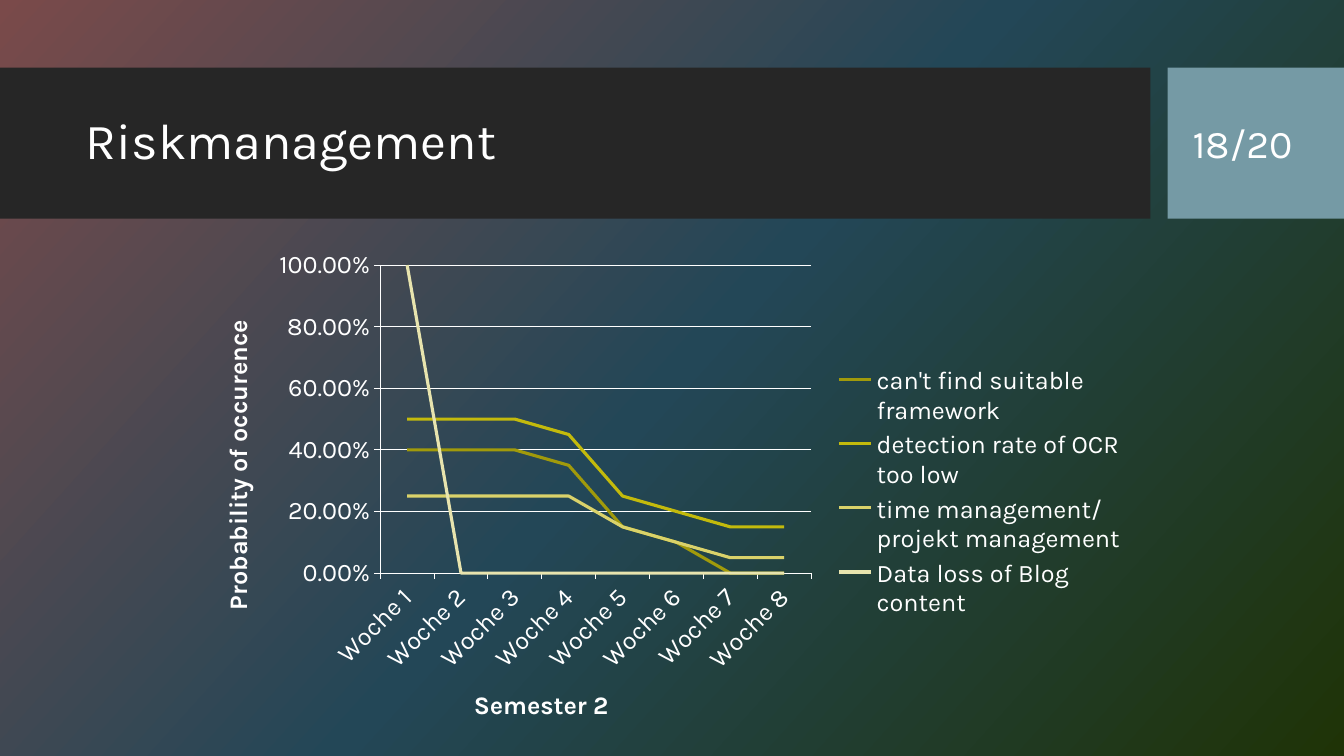
from copy import deepcopy
from dataclasses import dataclass

from lxml.etree import SubElement
from pptx import Presentation
from pptx.chart.data import CategoryChartData
from pptx.dml.color import RGBColor as RGB
from pptx.enum.chart import XL_CHART_TYPE as CT, XL_LEGEND_POSITION as LP, XL_TICK_MARK as TM
from pptx.enum.shapes import MSO_SHAPE as SHAPE
from pptx.enum.text import MSO_ANCHOR as ANCHOR, PP_ALIGN as ALIGN
from pptx.oxml.ns import qn
from pptx.util import Inches, Pt


@dataclass(frozen=True)
class Theme:
    """Colours, font, type sizes and line widths of the slide."""
    font: str = "Karla"
    text: str = "FFFFFF"
    band: str = "262626"
    badge: str = "759AA5"
    backdrop: tuple = ((0, "7A4A4A"), (0.5, "234757"), (1, "1F3307"))
    risks: tuple = ("A19A0B", "C3BA0C", "DAD26A", "E8E4AE")
    title_size: int = 36
    number_size: int = 28
    chart_size: int = 18
    axis_width: float = 0.75
    risk_width: float = 2.25


THEME = Theme()
PERCENT = "0.00%"
WEEKS = [f"Woche {n}" for n in range(1, 9)]
RISKS = {
    "can't find suitable framework": (0.4, 0.4, 0.4, 0.35, 0.15, 0.1, 0, 0),
    "detection rate of OCR too low": (0.5, 0.5, 0.5, 0.45, 0.25, 0.2, 0.15, 0.15),
    "time management/projekt management": (0.25, 0.25, 0.25, 0.25, 0.15, 0.1, 0.05, 0.05),
    "Data loss of Blog content": (1, 0, 0, 0, 0, 0, 0, 0),
}


def style_font(font, size, bold=False):
    """Apply the theme font and text colour."""
    font.name, font.size, font.bold = THEME.font, Pt(size), bold
    font.color.rgb = RGB.from_string(THEME.text)


def style_line(line, color, width):
    """Give a line a solid colour and a width in points."""
    line.color.rgb = RGB.from_string(color)
    line.width = Pt(width)


def paint_background(slide):
    """Fill the slide with the diagonal three-colour gradient."""
    fill = slide.background.fill
    fill.gradient()
    stops = slide.element.find(".//" + qn("a:gsLst"))
    stops.append(deepcopy(stops[-1]))
    for stop, (position, color) in zip(fill.gradient_stops, THEME.backdrop):
        stop.position = position
        stop.color.rgb = RGB.from_string(color)
    fill.gradient_angle = 318


def add_bar(slide, x, y, w, h, color):
    """Add a plain borderless rectangle."""
    sp = slide.shapes.add_shape(SHAPE.RECTANGLE, Inches(x), Inches(y), Inches(w), Inches(h))
    sp.shadow.inherit = False
    sp.fill.solid()
    sp.fill.fore_color.rgb = RGB.from_string(color)
    sp.line.fill.background()


def fill_text(sp, text, size, spacing=1.0):
    """Write one left-aligned, vertically centred paragraph."""
    tf = sp.text_frame
    tf.text, tf.word_wrap, tf.vertical_anchor = text, True, ANCHOR.MIDDLE
    p = tf.paragraphs[0]
    p.alignment, p.line_spacing = ALIGN.LEFT, spacing
    style_font(p.font, size)


def add_header(slide, x, y, w, h, title, number):
    """Add the title band and the page number badge."""
    badge_w, gap, inset = 1.75, 0.17, 0.15
    text_h = h - 2 * inset
    badge_x = x + w - badge_w
    add_bar(slide, x, y, w - badge_w - gap, h, THEME.band)
    add_bar(slide, badge_x, y, badge_w, h, THEME.badge)
    sp = slide.shapes.title
    slide.shapes.element.append(sp.element)
    sp.left, sp.top, sp.width, sp.height = map(Inches, (x + 0.75, y + inset, 10.5, text_h))
    fill_text(sp, title, THEME.title_size, 0.9)
    box = slide.shapes.add_textbox(*map(Inches, (badge_x + inset, y + inset, 1.26, text_h)))
    fill_text(box, number, THEME.number_size)


def set_layout(element, index, inner=False, **place):
    """Place a chart part by fractions of the chart area."""
    for old in element.findall(qn("c:layout")):
        element.remove(old)
    layout = element.makeelement(qn("c:layout"))
    element.insert(index, layout)
    manual = SubElement(layout, qn("c:manualLayout"))
    if inner:
        SubElement(manual, qn("c:layoutTarget"), val="inner")
    for side in "xy":
        SubElement(manual, qn(f"c:{side}Mode"), val="edge")
    for key, value in place.items():
        SubElement(manual, qn(f"c:{key}"), val=str(value))


def set_rotation(element, degrees):
    """Turn the text of a chart part clockwise."""
    element.find(".//" + qn("a:bodyPr")).set("rot", str(degrees * 60000))


def format_axis(axis, element, title, x, y, title_turn, label_turn):
    """Format an axis, its labels and its placed title."""
    axis.major_tick_mark, axis.minor_tick_mark = TM.OUTSIDE, TM.NONE
    style_line(axis.format.line, THEME.text, THEME.axis_width)
    style_font(axis.tick_labels.font, THEME.chart_size)
    tf = axis.axis_title.text_frame
    tf.text = title
    style_font(tf.paragraphs[0].font, THEME.chart_size, True)
    heading = element.find(qn("c:title"))
    set_layout(heading, 1, x=x, y=y)
    set_rotation(heading, title_turn)
    set_rotation(element.find(qn("c:txPr")), label_turn)


def format_scale(axis):
    """Set the percent scale and its gridlines."""
    axis.minimum_scale, axis.maximum_scale, axis.major_unit = 0, 1, 0.2
    axis.tick_labels.number_format = PERCENT
    axis.tick_labels.number_format_is_linked = False
    axis.has_major_gridlines = True
    style_line(axis.major_gridlines.format.line, THEME.text, THEME.axis_width)


def add_legend(chart):
    """Add the legend to the right of the plot."""
    chart.has_legend = True
    legend = chart.legend
    legend.position, legend.include_in_layout = LP.RIGHT, False
    style_font(legend.font, THEME.chart_size)
    element = chart.element.find(".//" + qn("c:legend"))
    set_layout(element, 1, x=0.68, y=0.24, w=0.31, h=0.52)


def add_risk_chart(slide, x, y, w, h):
    """Add the line chart of risk probabilities by week."""
    data = CategoryChartData(number_format=PERCENT)
    data.categories = WEEKS
    for name, values in RISKS.items():
        data.add_series(name, values)
    chart = slide.shapes.add_chart(CT.LINE, *map(Inches, (x, y, w, h)), data).chart
    style_font(chart.font, THEME.chart_size)
    chart.has_title = False
    lines = chart.plots[0]
    lines.vary_by_categories = False
    for series, color in zip(lines.series, THEME.risks):
        series.smooth = False
        style_line(series.format.line, color, THEME.risk_width)
    area = chart.element.find(".//" + qn("c:plotArea"))
    set_layout(area, 0, inner=True, x=0.195, y=0.05, w=0.46, h=0.61)
    format_axis(chart.category_axis, area.find(qn("c:catAx")), "Semester 2",
                x=0.29, y=0.88, title_turn=0, label_turn=-45)
    format_axis(chart.value_axis, area.find(qn("c:valAx")), "Probability of occurence",
                x=0.02, y=0.15, title_turn=-90, label_turn=0)
    format_scale(chart.value_axis)
    add_legend(chart)


def build():
    """Build and save the risk management slide."""
    slide_w, slide_h = 13.33, 7.5
    prs = Presentation()
    prs.slide_width, prs.slide_height = Inches(slide_w), Inches(slide_h)
    slide = prs.slides.add_slide(prs.slide_layouts[5])
    paint_background(slide)
    add_header(slide, 0, 0.67, slide_w, 1.5, "Riskmanagement", "18/20")
    add_risk_chart(slide, 1.96, 2.38, 9.29, 5.01)
    prs.save("out.pptx")


build()
